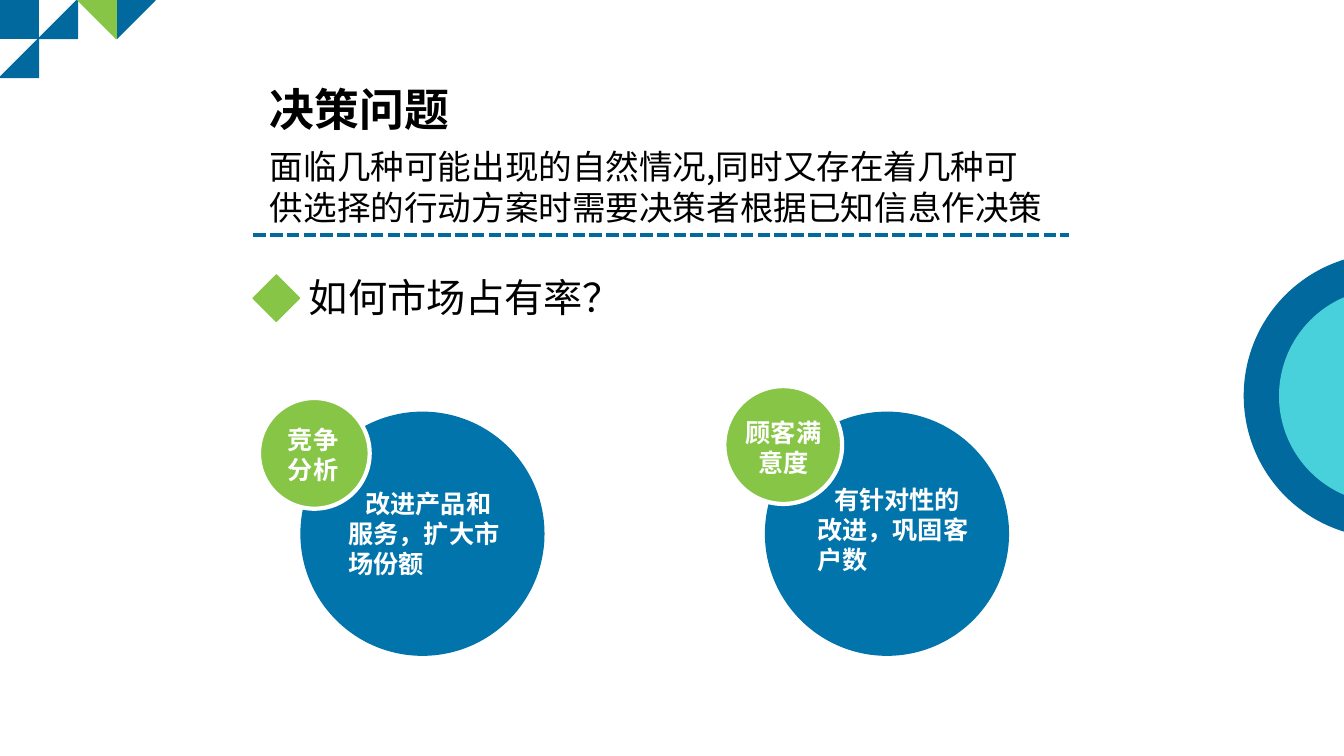
from dataclasses import dataclass

from lxml.etree import SubElement
from pptx import Presentation
from pptx.dml.color import RGBColor
from pptx.enum.dml import MSO_LINE
from pptx.enum.shapes import MSO_CONNECTOR, MSO_SHAPE
from pptx.enum.text import MSO_ANCHOR, MSO_AUTO_SIZE, PP_ALIGN
from pptx.oxml.ns import qn
from pptx.util import Cm, Pt


@dataclass(frozen=True)
class Theme:
    font: str = "Noto Sans CJK SC"
    navy: str = "01699D"
    blue: str = "0174AB"
    green: str = "87C546"
    aqua: str = "49D1DB"
    black: str = "000000"
    white: str = "FFFFFF"
    title: int = 32
    question: int = 28
    body: int = 24
    label: int = 18


class SlideBuilder:
    def __init__(self, slide, theme):
        self.slide = slide
        self.theme = theme

    def shape(self, kind, left, top, size, fill, outline=None, weight=1, turn=0):
        """Add a square-framed preset shape."""
        item = self.slide.shapes.add_shape(kind, Cm(left), Cm(top), Cm(size), Cm(size))
        item.shadow.inherit = False
        item.rotation = turn
        item.fill.solid()
        item.fill.fore_color.rgb = RGBColor.from_string(fill)
        item.line.color.rgb = RGBColor.from_string(outline or fill)
        item.line.width = Pt(weight)

    def dashed_rule(self, left, right, top, color):
        rule = self.slide.shapes.add_connector(
            MSO_CONNECTOR.STRAIGHT, Cm(left), Cm(top), Cm(right), Cm(top))
        rule.line.color.rgb = RGBColor.from_string(color)
        rule.line.width = Pt(3)
        rule.line.dash_style = MSO_LINE.SQUARE_DOT
        SubElement(rule._element.spPr, qn("a:effectLst"))

    def text(self, box, words, size, color, bold=False,
             align=PP_ALIGN.LEFT, indent=0, holder=None):
        """Write one paragraph in a placeholder or in a new text box."""
        left, top, width, height = map(Cm, box)
        if holder is None:
            holder = self.slide.shapes.add_textbox(left, top, width, height)
        else:
            holder.left, holder.top, holder.width, holder.height = left, top, width, height
        frame = holder.text_frame
        frame.word_wrap = True
        frame.auto_size = MSO_AUTO_SIZE.NONE
        frame.vertical_anchor = MSO_ANCHOR.TOP
        paragraph = frame.paragraphs[0]
        paragraph.alignment = align
        paragraph.space_before = Pt(0)
        properties = paragraph._p.get_or_add_pPr()
        properties.set("marL", "0")
        properties.set("indent", str(Cm(indent)))
        SubElement(properties, qn("a:buNone"))
        run = paragraph.add_run()
        run.text = words
        run.font.name = self.theme.font
        run.font.size = Pt(size)
        run.font.bold = bold
        run.font.color.rgb = RGBColor.from_string(color)
        SubElement(run._r.get_or_add_rPr(), qn("a:ea"), typeface=self.theme.font)


def main():
    theme = Theme()
    deck = Presentation()
    deck.slide_width, deck.slide_height = Cm(33.88), Cm(19.05)
    slide = deck.slides.add_slide(deck.slide_layouts[1])
    build = SlideBuilder(slide, theme)

    # Corner mosaic: column, row, shape, rotation, colour
    step = 0.98
    triangle = MSO_SHAPE.RIGHT_TRIANGLE
    for column, row, kind, turn, color in (
        (0, 0, MSO_SHAPE.RECTANGLE, 0, theme.navy),
        (0, 1, triangle, 270, theme.navy),
        (1, 0, triangle, 270, theme.navy),
        (3, 0, triangle, 90, theme.navy),
        (2, 0, triangle, 180, theme.green),
    ):
        build.shape(kind, column * step, row * step, 0.97, color, turn=turn)

    # Rings running off the right edge
    build.shape(MSO_SHAPE.OVAL, 31.37, 6.4, 7.14, theme.navy)
    build.shape(MSO_SHAPE.OVAL, 32.26, 7.29, 5.38, theme.aqua)

    # Heading and definition
    build.text((6.55, 1.93, 6.32, 1.63), "决策问题", theme.title, theme.black,
               bold=True, holder=slide.shapes.title)
    build.text((6.55, 3.56, 20.19, 2.29),
               "面临几种可能出现的自然情况,同时又存在着几种可供选择的行动方案时需要决策者根据已知信息作决策",
               theme.body, theme.black, holder=slide.placeholders[1])
    build.dashed_rule(6.38, 26.95, 5.92, theme.navy)

    # Question
    build.shape(MSO_SHAPE.DIAMOND, 6.38, 6.93, 1.17, theme.green)
    build.text((7.54, 6.76, 19.41, 1.45), "如何市场占有率？", theme.question, theme.black)

    # Answers: circle left, badge place and size, label box, detail place, wording
    for circle_left, badge, label_box, align, detail_at, label, detail in (
        (7.59, (6.53, 10.03, 2.79), (7.01, 10.57, 1.98, 1.78), PP_ALIGN.LEFT,
         (8.53, 12.17), "竞争分析", "改进产品和服务，扩大市场份额"),
        (19.3, (18.26, 9.73, 2.97), (18.44, 10.39, 2.62, 1.78), PP_ALIGN.CENTER,
         (20.35, 12.07), "顾客满意度", "有针对性的改进，巩固客户数"),
    ):
        build.shape(MSO_SHAPE.OVAL, circle_left, 10.39, 6.12, theme.blue)
        build.shape(MSO_SHAPE.OVAL, *badge, theme.green, outline=theme.white, weight=3)
        build.text(label_box, label, theme.label, theme.white, bold=True, align=align)
        build.text((*detail_at, 4.5, 2.54), detail, theme.label, theme.white,
                   bold=True, indent=0.43)

    deck.save("out.pptx")


if __name__ == "__main__":
    main()
